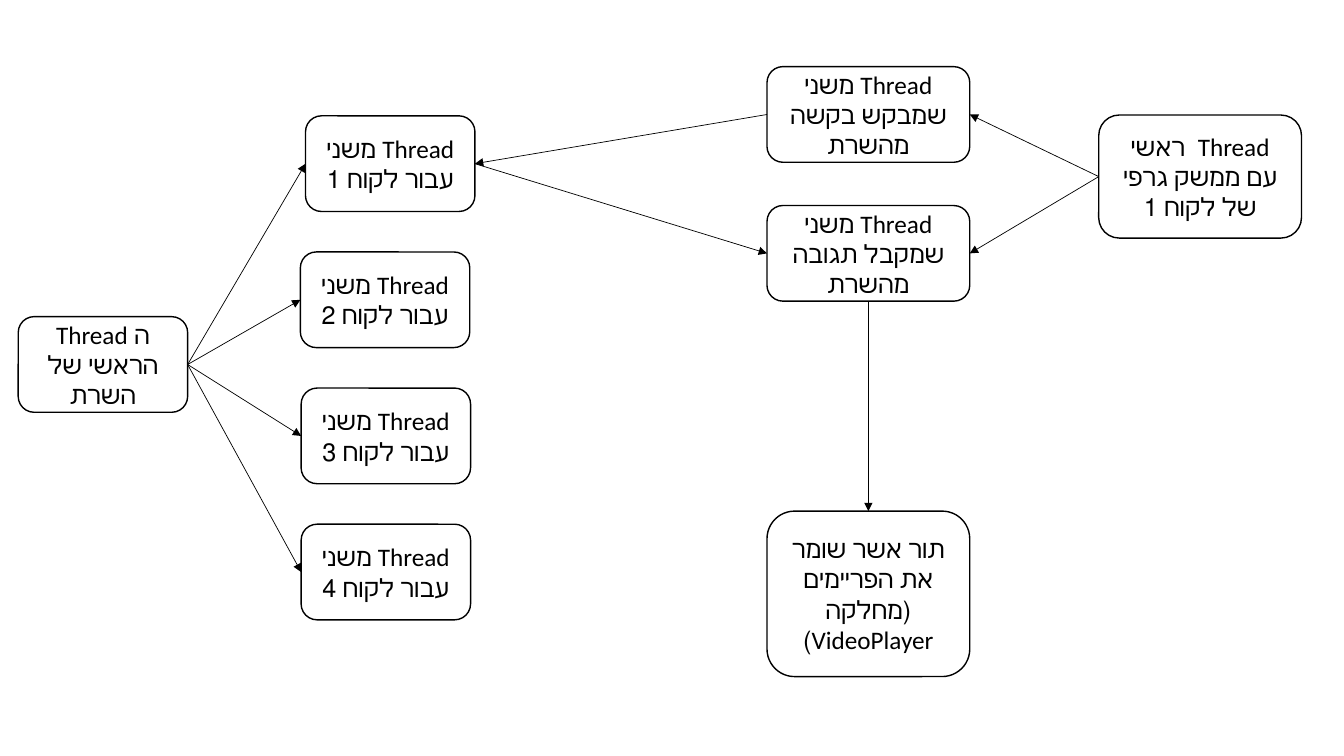
from pptx import Presentation
from pptx.dml.color import RGBColor
from pptx.enum import shapes, text
from pptx.oxml.ns import qn
from pptx.util import Cm, Pt
from lxml import etree

COLORS = {"ink": "000000", "paper": "FFFFFF"}
INK = RGBColor.from_string(COLORS["ink"])
PAPER = RGBColor.from_string(COLORS["paper"])
TOP, LEFT, BOTTOM, RIGHT = range(4)  # connection sites of a box

deck = Presentation()
deck.slide_width, deck.slide_height = Cm(33.87), Cm(19.05)
slide = deck.slides.add_slide(deck.slide_layouts[6])


def add_box(words, x, y, w, h=2.41):
    box = slide.shapes.add_shape(
        shapes.MSO_SHAPE.ROUNDED_RECTANGLE, Cm(x), Cm(y), Cm(w), Cm(h))
    box.shadow.inherit = False
    box.fill.solid()
    box.fill.fore_color.rgb = PAPER
    box.line.color.rgb = INK
    box.line.width = Pt(1)
    frame = box.text_frame
    frame.word_wrap = True
    frame.vertical_anchor = text.MSO_ANCHOR.MIDDLE
    para = frame.paragraphs[0]
    para.alignment = text.PP_ALIGN.CENTER
    para._p.get_or_add_pPr().set("rtl", "1")
    run = para.add_run()
    run.text = words
    run.font.name = "Calibri"
    run.font.size = Pt(18)
    run.font.color.rgb = INK
    return box


def add_arrow(start, out, end, into):
    arrow = slide.shapes.add_connector(shapes.MSO_CONNECTOR.STRAIGHT, 0, 0, 0, 0)
    arrow.begin_connect(start, out)
    arrow.end_connect(end, into)
    arrow.line.color.rgb = INK
    arrow.line.width = Pt(0.5)
    etree.SubElement(arrow.line._get_or_add_ln(), qn("a:tailEnd"), type="triangle")
    etree.SubElement(arrow._element.spPr, qn("a:effectLst"))


# Server: main thread and one thread per client
server = add_box("ה Thread הראשי של השרת", 0.46, 7.98, 4.27)
workers = [add_box(f"Thread משני עבור לקוח {i + 1}", x, 2.92 + 3.43 * i, 4.27)
           for i, x in enumerate([7.7, 7.57, 7.59, 7.59])]
for worker in workers:
    add_arrow(server, RIGHT, worker, LEFT)

# Client: main thread, request and reply threads, frame queue
client = add_box("Thread  ראשי עם ממשק גרפי של לקוח 1", 27.69, 2.9, 5.11, 3.1)
ask = add_box("Thread משני שמבקש בקשה מהשרת", 19.33, 1.68, 5.11)
reply = add_box("Thread משני שמקבל תגובה מהשרת", 19.33, 5.18, 5.11)
queue = add_box("תור אשר שומר את הפריימים (מחלקה VideoPlayer)",
                19.33, 12.88, 5.11, 4.17)

# Flow between client and server
for link in [(client, LEFT, ask, RIGHT), (client, LEFT, reply, RIGHT),
             (ask, LEFT, workers[0], RIGHT), (workers[0], RIGHT, reply, LEFT),
             (reply, BOTTOM, queue, TOP)]:
    add_arrow(*link)

deck.save("out.pptx")
